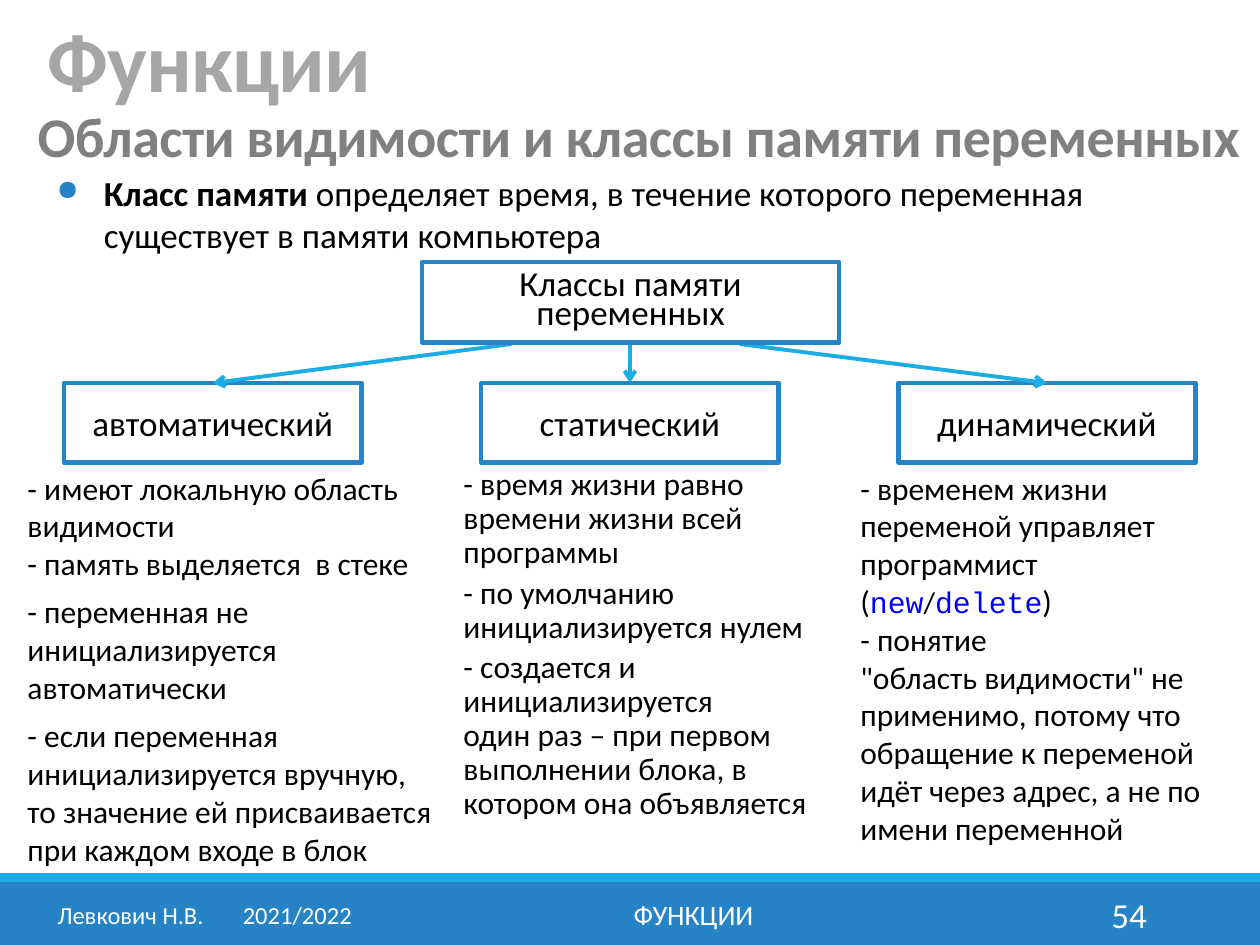
"""Builds the slide on storage classes of variables."""
from lxml.etree import SubElement
from pptx import Presentation
from pptx.dml.color import RGBColor
from pptx.enum.shapes import MSO_CONNECTOR, MSO_SHAPE
from pptx.enum.text import MSO_ANCHOR, MSO_AUTO_SIZE, PP_ALIGN
from pptx.oxml.ns import qn
from pptx.util import Pt

BLUE, SKY, BLACK, WHITE = "2683C6", "1CADE4", "000000", "FFFFFF"
CODE = {"name": "Courier New", "size": 17, "color": "0000FF"}

TITLE = "Функции"
SUBTITLE = "Области видимости и классы памяти переменных"
DEFINITION = [("Класс памяти", {"bold": True}),
              " определяет время, в течение которого переменная существует в памяти компьютера"]
ROOT = "Классы памяти переменных"
CLASSES = ["автоматический", "статический", "динамический"]
COLUMNS = [
    {"at": (8.64, 264.24, 249.1, 237.6), "format": {"space_before": Pt(6)}, "text": [
        "- имеют локальную область видимости\n- память выделяется  в стеке",
        "- переменная не инициализируется автоматически",
        "- если переменная инициализируется вручную, то значение ей присваивается "
        "при каждом входе в блок"]},
    {"at": (257.76, 264.24, 215.3, 212.4),
     "format": {"space_before": Pt(3.6), "line_spacing": 0.9}, "text": [
        "- время жизни равно времени жизни всей программы",
        "- по умолчанию инициализируется нулем",
        "- создается и инициализируется\nодин раз – при первом выполнении блока, "
        "в котором она объявляется"]},
    {"at": (484.56, 264.24, 226.8, 203.8), "format": {}, "text": [
        ["- временем жизни переменой управляет программист (", ("new", CODE),
         ("/", {"size": 17}), ("delete", CODE), ")"],
        "- понятие\n\"область видимости\" не применимо, потому что обращение к переменой "
        "идёт через адрес, а не по имени переменной"]},
]
FOOTER = [
    ("Левкович Н.В.\t2021/2022", 14, (23.04, 187.9), PP_ALIGN.CENTER),
    ("ФУНКЦИИ", 16, (217.44, 357.8), PP_ALIGN.CENTER),
    ("54", 20, (584.64, 77.8), PP_ALIGN.RIGHT),
]
BANDS = [((0, 504, 720, 36), BLUE), ((0, 499, 720, 5), SKY)]
ROOT_AT = (241.2, 149.76, 238.3, 46.1)
CLASS_LEFT, CLASS_TOP, CLASS_STEP = 36.72, 218.88, 238.32
CLASS_WIDTH, CLASS_HEIGHT = 169.9, 45.4
ARROW_TOP, ARROW_STARTS = 196.6, (292.3, 360, 422.6)


def rgb(color):
    return RGBColor.from_string(color)


def points(values):
    return [Pt(value) for value in values]


def child(parent, tag, **attributes):
    return SubElement(parent, qn(tag), attributes)


def add_run(paragraph, text, size=18, color=BLACK, name="Calibri", bold=False, spacing=None):
    for number, line in enumerate(text.split("\n")):
        if number:
            paragraph.add_line_break()
        run = paragraph.add_run()
        run.text = line
        run.font.color.rgb = rgb(color)
        for key, value in {"name": name, "size": Pt(size), "bold": bold}.items():
            setattr(run.font, key, value)
        if spacing:
            run._r.get_or_add_rPr().set("spc", str(spacing))


def write(shape, paragraphs, style=None, layout=None, anchor=MSO_ANCHOR.TOP, wrap=True):
    frame = shape.text_frame
    frame_format = {"word_wrap": wrap, "auto_size": MSO_AUTO_SIZE.NONE, "vertical_anchor": anchor}
    for key, value in frame_format.items():
        setattr(frame, key, value)
    for number, parts in enumerate(paragraphs):
        paragraph = frame.add_paragraph() if number else frame.paragraphs[0]
        for key, value in {"alignment": PP_ALIGN.LEFT, **(layout or {})}.items():
            setattr(paragraph, key, value)
        for part in [parts] if isinstance(parts, str) else parts:
            text, own = (part, {}) if isinstance(part, str) else part
            add_run(paragraph, text, **{**(style or {}), **own})
    return frame.paragraphs[0]._p.get_or_add_pPr()


def add_text(slide, at, paragraphs, **options):
    return write(slide.shapes.add_textbox(*points(at)), paragraphs, **options)


def add_band(slide, at, color):
    band = slide.shapes.add_shape(MSO_SHAPE.RECTANGLE, *points(at))
    band.shadow.inherit = False
    band.fill.solid()
    band.fill.fore_color.rgb = rgb(color)
    band.line.fill.background()


def add_box(slide, at, text, line_spacing=None):
    box = slide.shapes.add_shape(MSO_SHAPE.RECTANGLE, *points(at))
    box.shadow.inherit = False
    box.fill.background()
    box.line.color.rgb = rgb(BLUE)
    box.line.width = Pt(2.5)
    write(box, [text], {"size": 20}, {"alignment": PP_ALIGN.CENTER, "line_spacing": line_spacing},
          MSO_ANCHOR.MIDDLE)


def add_arrow(slide, ends):
    arrow = slide.shapes.add_connector(MSO_CONNECTOR.STRAIGHT, *points(ends))
    arrow.line.color.rgb = rgb(SKY)
    arrow.line.width = Pt(2.25)
    child(arrow.line._get_or_add_ln(), "a:tailEnd", type="arrow")
    child(arrow._element.spPr, "a:effectLst")


def add_definition(slide):
    properties = add_text(slide, (25.2, 94.32, 680.4, 55.4), [DEFINITION], style={"size": 20},
                          layout={"space_before": Pt(6)})
    properties.set("marL", str(Pt(27)))
    properties.set("indent", str(Pt(-27)))
    child(child(properties, "a:buClr"), "a:srgbClr", val=BLUE)
    child(properties, "a:buSzPct", val="80000")
    child(properties, "a:buChar", char="●")


def add_tree(slide):
    for number, (name, start) in enumerate(zip(CLASSES, ARROW_STARTS)):
        left = CLASS_LEFT + number * CLASS_STEP
        add_box(slide, (left, CLASS_TOP, CLASS_WIDTH, CLASS_HEIGHT), name)
        add_arrow(slide, (start, ARROW_TOP, left + CLASS_WIDTH / 2, CLASS_TOP))
    add_box(slide, ROOT_AT, ROOT, 0.7)


def add_footer(slide):
    for text, size, (left, width), alignment in FOOTER:
        properties = add_text(slide, (left, 508.32, width, 28.8), [text],
                              style={"size": size, "color": WHITE},
                              layout={"alignment": alignment}, anchor=MSO_ANCHOR.MIDDLE)
        if "\t" in text:
            child(child(properties, "a:tabLst"), "a:tab", pos=str(Pt(105.84)), algn="l")


def main():
    deck = Presentation()
    deck.slide_width, deck.slide_height = Pt(720), Pt(540)
    slide = deck.slides.add_slide(deck.slide_layouts[5])
    for at, color in BANDS:
        add_band(slide, at, color)
    title = slide.shapes.title
    title.left, title.top, title.width, title.height = points((20.16, 0, 594, 66.24))
    write(title, [TITLE], {"size": 48, "color": "A6A6A6", "bold": True, "spacing": -50},
          {"line_spacing": 0.85}, MSO_ANCHOR.BOTTOM)
    add_text(slide, (14.4, 54.72, 721.4, 46.1), [SUBTITLE], wrap=False,
             style={"size": 32, "color": "808080", "bold": True, "spacing": -30})
    add_definition(slide)
    add_tree(slide)
    for column in COLUMNS:
        add_text(slide, column["at"], column["text"], layout=column["format"])
    add_footer(slide)
    deck.save("out.pptx")


if __name__ == "__main__":
    main()
